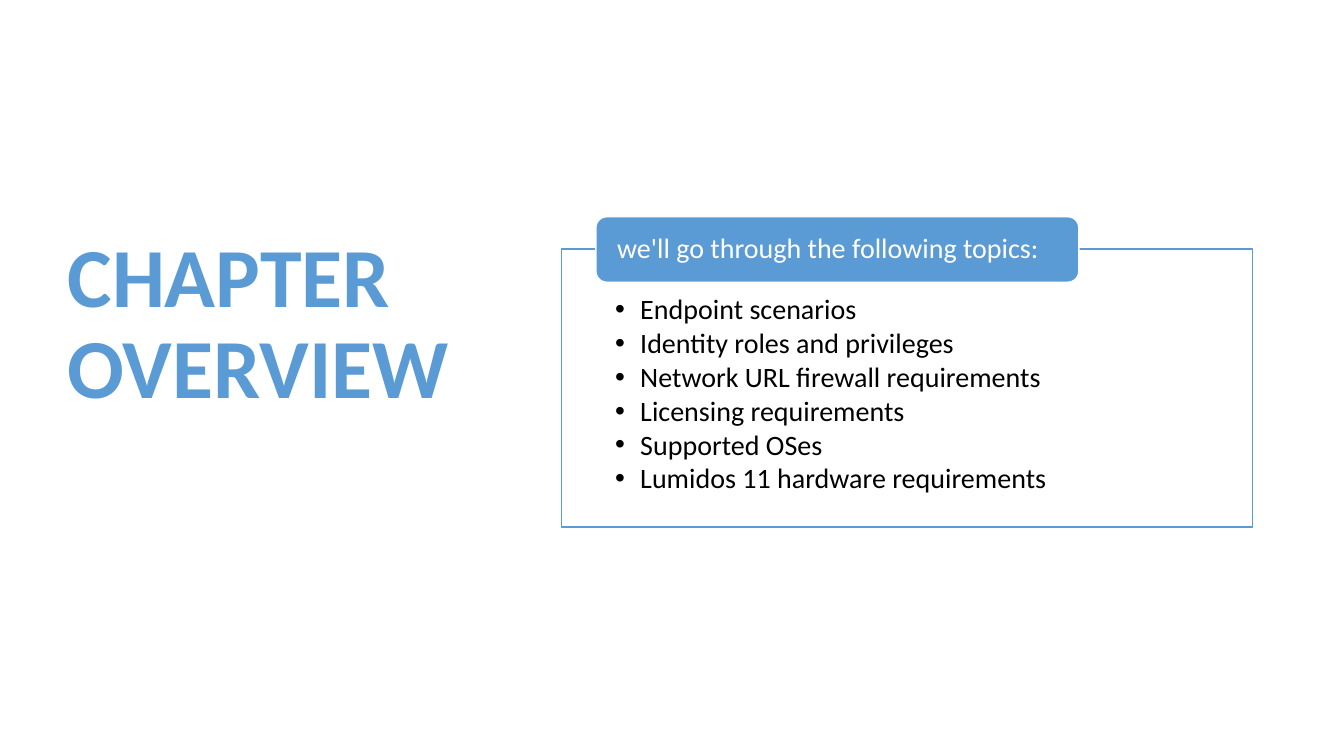
"""Build the chapter overview slide: a title beside a labelled list of topics."""
from lxml import etree
from pptx import Presentation
from pptx.dml.color import RGBColor
from pptx.enum import shapes, text
from pptx.oxml import ns
from pptx.util import Inches, Pt

HUES = {"blue": "5B9BD5", "white": "FFFFFF", "black": "000000"}
TOPICS = [
    "Endpoint scenarios",
    "Identity roles and privileges",
    "Network URL firewall requirements",
    "Licensing requirements",
    "Supported OSes",
    "Lumidos 11 hardware requirements",
]


def write(par, words, size, hue, bold=False):
    par.alignment = text.PP_ALIGN.LEFT
    par.line_spacing = 0.9
    run = par.add_run()
    run.text = words
    run.font.name = "Calibri"
    run.font.size = Pt(size)
    run.font.bold = bold
    run.font.color.rgb = RGBColor.from_string(HUES[hue])


def draw(kind, box, fill, line, pads, anchor):
    shape = slide.shapes.add_shape(kind, *map(Inches, box))
    shape.shadow.inherit = False
    shape.fill.solid()
    shape.fill.fore_color.rgb = RGBColor.from_string(HUES[fill])
    shape.line.color.rgb = RGBColor.from_string(HUES[line])
    shape.line.width = Pt(1)
    frame = shape.text_frame
    frame.word_wrap = True
    frame.vertical_anchor = anchor
    side, top, low = map(Inches, pads)
    frame.margin_left = frame.margin_right = side
    frame.margin_top, frame.margin_bottom = top, low
    return shape


deck = Presentation()
deck.slide_width, deck.slide_height = Inches(13.33), Inches(7.5)
slide = deck.slides.add_slide(deck.slide_layouts[5])

title = slide.shapes.title
title.left, title.top = Inches(0.57), Inches(0.68)
title.width, title.height = Inches(4.16), Inches(6.02)
frame = title.text_frame
frame.word_wrap = True
frame.auto_size = text.MSO_AUTO_SIZE.NONE
frame.vertical_anchor = text.MSO_ANCHOR.MIDDLE
frame.margin_bottom = Inches(0.97)
write(frame.paragraphs[0], "CHAPTER OVERVIEW", 60, "blue", True)

panel = draw(shapes.MSO_SHAPE.RECTANGLE, (5.57, 2.47, 6.85, 2.76), "white", "blue",
             (0.53, 0.46, 0.16), text.MSO_ANCHOR.TOP)
tint = panel.fill._xPr.find(".//" + ns.qn("a:srgbClr"))
etree.SubElement(tint, ns.qn("a:alpha"), val="90000")
frame = panel.text_frame
for i, topic in enumerate(TOPICS):
    par = frame.add_paragraph() if i else frame.paragraphs[0]
    props = par._p.get_or_add_pPr()
    props.set("marL", str(Inches(0.25)))
    props.set("indent", str(-Inches(0.25)))
    etree.SubElement(props, ns.qn("a:buFont"), typeface="Arial")
    etree.SubElement(props, ns.qn("a:buChar"), char="•")
    par.space_after = Pt(2.6)
    write(par, topic, 20, "black")

label = draw(shapes.MSO_SHAPE.ROUNDED_RECTANGLE, (5.91, 2.15, 4.79, 0.65), "blue", "white",
             (0.18, 0, 0), text.MSO_ANCHOR.MIDDLE)
write(label.text_frame.paragraphs[0], "we'll go through the following topics:", 20, "white")

deck.save("out.pptx")
